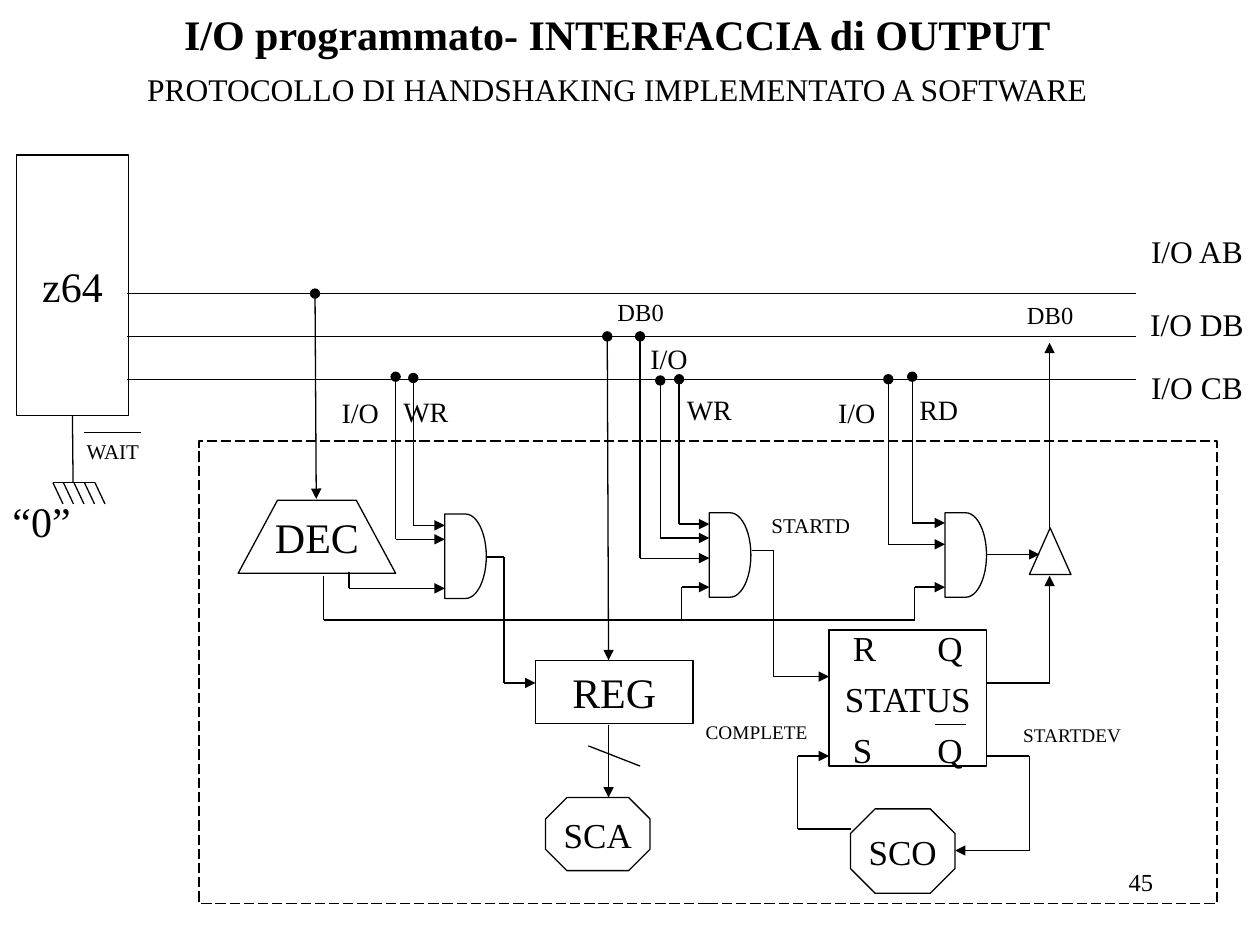
import dataclasses
import itertools
import typing

import pptx
import pptx.dml.color
import pptx.enum.dml
import pptx.enum.shapes
import pptx.enum.text
import pptx.oxml.ns
import pptx.util
from lxml import etree

Inches = pptx.util.Inches
Shapes = pptx.enum.shapes.MSO_SHAPE
Align = pptx.enum.text.PP_ALIGN
Anchor = pptx.enum.text.MSO_ANCHOR
INK = "000000"
FONT = "Times New Roman"


def color(value):
    """Return the colour of a hex string."""
    return pptx.dml.color.RGBColor.from_string(value)


def add_text(paragraph, text, size, bold=False, align=Align.CENTER):
    """Add one formatted run to an aligned paragraph."""
    paragraph.alignment = align
    run = paragraph.add_run()
    run.text = text
    run.font.name = FONT
    run.font.size = pptx.util.Pt(size)
    run.font.bold = bold
    run.font.color.rgb = color(INK)


def style_line(line):
    """Give a line the thin black stroke of the diagram."""
    line.color.rgb = color(INK)
    line.width = pptx.util.Pt(0.75)


@dataclasses.dataclass
class Region:
    """A box on the slide, with parts placed from its top left corner in inches."""
    slide: typing.Any
    left: float
    top: float
    width: float
    height: float

    def place(self, x, y):
        """Return the slide position of a point of the box."""
        return Inches(self.left + x), Inches(self.top + y)

    def finish(self, shape, text="", size=24):
        """Outline a shape and centre its text."""
        shape.shadow.inherit = False
        shape.fill.background()
        style_line(shape.line)
        if text:
            shape.text_frame.word_wrap = False
            shape.text_frame.vertical_anchor = Anchor.MIDDLE
            add_text(shape.text_frame.paragraphs[0], text, size)
        return shape

    def block(self, kind, x, y, width, height, text="", size=24):
        """Add an outlined preset shape."""
        shape = self.slide.shapes.add_shape(
            kind, *self.place(x, y), Inches(width), Inches(height))
        return self.finish(shape, text, size)

    def label(self, x, y, width, text, size, align=Align.CENTER):
        """Add a single-line text box and return its paragraph."""
        box = self.slide.shapes.add_textbox(
            *self.place(x, y), Inches(width), Inches(round(size / 60 + 0.1, 2)))
        box.text_frame.word_wrap = "\t" in text or align == Align.RIGHT
        paragraph = box.text_frame.paragraphs[0]
        add_text(paragraph, text, size, align=align)
        return paragraph

    def wire(self, *points, head=None, tail=None):
        """Join points by straight connectors and return the first one."""
        connectors = []
        for start, end in itertools.pairwise(points):
            connector = self.slide.shapes.add_connector(
                pptx.enum.shapes.MSO_CONNECTOR.STRAIGHT, *self.place(*start), *self.place(*end))
            style_line(connector.line)
            etree.SubElement(connector._element.spPr, pptx.oxml.ns.qn("a:effectLst"))
            connectors.append(connector)
        for connector, tag, kind in ((connectors[0], "a:headEnd", head), (connectors[-1], "a:tailEnd", tail)):
            if kind:
                etree.SubElement(connector.line._get_or_add_ln(), pptx.oxml.ns.qn(tag), type=kind)
        return connectors[0]


def draw_title(region):
    """Fill the title placeholder with the heading and its subtitle."""
    title = region.slide.shapes.title
    title.left, title.top = region.place(0, 0)
    title.width, title.height = Inches(region.width), Inches(region.height)
    frame = title.text_frame
    frame.auto_size = pptx.enum.text.MSO_AUTO_SIZE.NONE
    frame.vertical_anchor = Anchor.TOP
    add_text(frame.paragraphs[0], "I/O programmato- INTERFACCIA di OUTPUT", 24, True)
    subtitle = frame.add_paragraph()
    subtitle.space_before = pptx.util.Pt(6)
    add_text(subtitle, "PROTOCOLLO DI HANDSHAKING IMPLEMENTATO A SOFTWARE", 18)


def draw_buses(region):
    """Draw the three I/O buses with their names."""
    for index, (name, y) in enumerate((("I/O AB", -0.54), ("I/O DB", 0.04), ("I/O CB", 0.54))):
        region.wire((0, 0.34 * index), (region.width, 0.34 * index))
        region.label(region.width + 0.01, y, 0.94, name, 18)
    region.label(3.79, -0.02, 0.57, "DB0", 14)
    region.label(7.04, 0, 0.57, "DB0", 14)


def draw_processor(region):
    """Draw the processor and its grounded WAIT input."""
    processor = region.block(Shapes.RECTANGLE, 0, 0, region.width, region.height, "z64")
    ground = region.height + 0.53
    region.wire((0.45, region.height), (0.45, ground)).begin_connect(processor, 2)
    region.wire((0.29, ground), (0.62, ground))
    for index in range(5):
        x = 0.29 + index / 12
        region.wire((x, ground), (x + 0.08, ground + 0.17))
    region.label(-0.13, 2.65, 0.66, "“0”", 24)
    region.label(0.29, 2.2, 0.95, "WAIT", 12)
    region.wire((0.54, 2.2), (0.99, 2.2))


def draw_decoder(region):
    """Draw the address decoder, its input and its two select lines."""
    width, height = region.width, region.height
    builder = region.slide.shapes.build_freeform(*region.place(0, height))
    corners = ((width / 4, 0), (width * 3 / 4, 0), (width, height))
    builder.add_line_segments([region.place(*corner) for corner in corners], close=True)
    region.finish(builder.convert_to_shape(), "DEC")
    region.wire((0.61, -1.64), (0.62, -0.01), head="oval", tail="triangle")
    region.wire((0.88, 0.57), (0.88, 0.7), (1.64, 0.7), tail="triangle")
    region.wire((0.68, 0.6), (0.68, 0.95), (5.37, 0.95))


def draw_gate(region, inputs, labels, select=True):
    """Draw an AND gate with bus inputs (x, bus y, entry y), names and select input."""
    region.block(Shapes.FLOWCHART_DELAY, 0, 0, region.width, region.height)
    for x, bus, entry in inputs:
        region.wire((x, bus), (x, entry), (0, entry), head="oval", tail="triangle")
    for text, x, y in labels:
        region.label(x, y, 0.6, text, 16)
    if select:
        x = inputs[0][0] + 0.02
        region.wire((x, 0.85), (x, 0.59), (0, 0.59), tail="triangle")


def draw_register(region):
    """Draw the output register with its load and data inputs."""
    region.block(Shapes.RECTANGLE, 0, 0, region.width, region.height, "REG")
    region.wire((-0.39, -0.82), (-0.25, -0.82), (-0.25, 0.18), (0, 0.18), tail="triangle")
    region.wire((0.57, -2.57), (0.58, 0), head="oval", tail="triangle")
    region.wire((0.58, 0.51), (0.58, 1.09), tail="triangle")
    region.wire((0.42, 0.68), (0.83, 0.84))
    region.block(Shapes.OCTAGON, 0.08, 1.09, 0.83, 0.58, "SCA", 20)


def draw_status(region):
    """Draw the status flip-flop, its start signal and the device control loop."""
    region.block(Shapes.RECTANGLE, 0, 0, region.width, region.height)
    for text, y in (("R\tQ", -0.08), ("S\tQ", 0.73)):
        paragraph = region.label(0.09, y, 1.08, text, 20, Align.LEFT)
        tabs = etree.SubElement(paragraph._p.get_or_add_pPr(), pptx.oxml.ns.qn("a:tabLst"))
        etree.SubElement(tabs, pptx.oxml.ns.qn("a:tab"), pos=str(Inches(0.67)), algn="l")
    region.label(0, 0.33, region.width, "STATUS", 20)
    region.wire((0.84, 0.75), (1.09, 0.75))
    region.wire((-0.61, -0.63), (-0.44, -0.63), (-0.44, 0.37), (0, 0.37), tail="triangle")
    region.label(-0.57, -0.98, 0.85, "STARTD", 12)
    region.wire((0.17, 1.58), (-0.25, 1.58), (-0.25, 1), (0, 1), tail="triangle")
    region.label(-1.08, 0.67, 1.01, "COMPLETE", 11)
    region.wire((1.25, 1), (1.59, 1), (1.59, 1.75), (1, 1.75), tail="triangle")
    region.label(1.43, 0.69, 1, "STARTDEV", 11)
    region.block(Shapes.OCTAGON, 0.17, 1.42, 0.83, 0.67, "SCO", 20)


def draw_buffer(region):
    """Draw the three-state buffer that drives the data bus."""
    middle = 0.16
    region.block(Shapes.ISOSCELES_TRIANGLE, 0, 0, region.width, region.height)
    region.wire((middle, 0), (middle, -1.47), tail="triangle")
    region.wire((-0.34, 0.21), (0.08, 0.21), tail="triangle")
    region.wire((-0.34, 1.23), (middle, 1.23), (middle, 0.38), tail="triangle")


def draw_interface(region):
    """Draw the dashed border of the interface and the page number."""
    border = region.block(Shapes.RECTANGLE, 0, 0, region.width, region.height)
    border.line.dash_style = pptx.enum.dml.MSO_LINE.LONG_DASH
    region.label(5.59, 3.33, 2.08, "45", 14, Align.RIGHT)


def main():
    """Build the slide and save it."""
    presentation = pptx.Presentation()
    presentation.slide_width, presentation.slide_height = Inches(10), Inches(7.5)
    slide = presentation.slides.add_slide(presentation.slide_layouts[5])
    draw_title(Region(slide, 0.13, 0.02, 9.54, 1.0))
    draw_buses(Region(slide, 1.01, 2.33, 8.01, 0.68))
    draw_processor(Region(slide, 0.13, 1.23, 0.89, 2.07))
    draw_interface(Region(slide, 1.58, 3.5, 8.08, 3.67))
    draw_decoder(Region(slide, 1.89, 3.97, 1.25, 0.58))
    draw_gate(Region(slide, 3.53, 4.08, 0.33, 0.67),
              ((-0.25, -1.08, 0.09), (-0.39, -1.09, 0.2)),
              (("I/O", -0.97, -0.99), ("WR", -0.45, -1)), select=False)
    draw_gate(Region(slide, 5.63, 4.07, 0.33, 0.67),
              ((-0.24, -1.06, 0.09), (-0.39, -1.05, 0.2), (-0.55, -1.4, 0.36)),
              (("I/O", -0.62, -1.41), ("WR", -0.3, -1)))
    draw_gate(Region(slide, 7.5, 4.07, 0.33, 0.67),
              ((-0.26, -1.08, 0.08), (-0.45, -1.06, 0.25)),
              (("I/O", -1, -0.98), ("RD", -0.35, -1)))
    draw_register(Region(slide, 4.25, 5.24, 1.25, 0.5))
    draw_status(Region(slide, 6.58, 5, 1.25, 1.08))
    draw_buffer(Region(slide, 8.17, 4.19, 0.33, 0.37))
    presentation.save("out.pptx")


if __name__ == "__main__":
    main()
